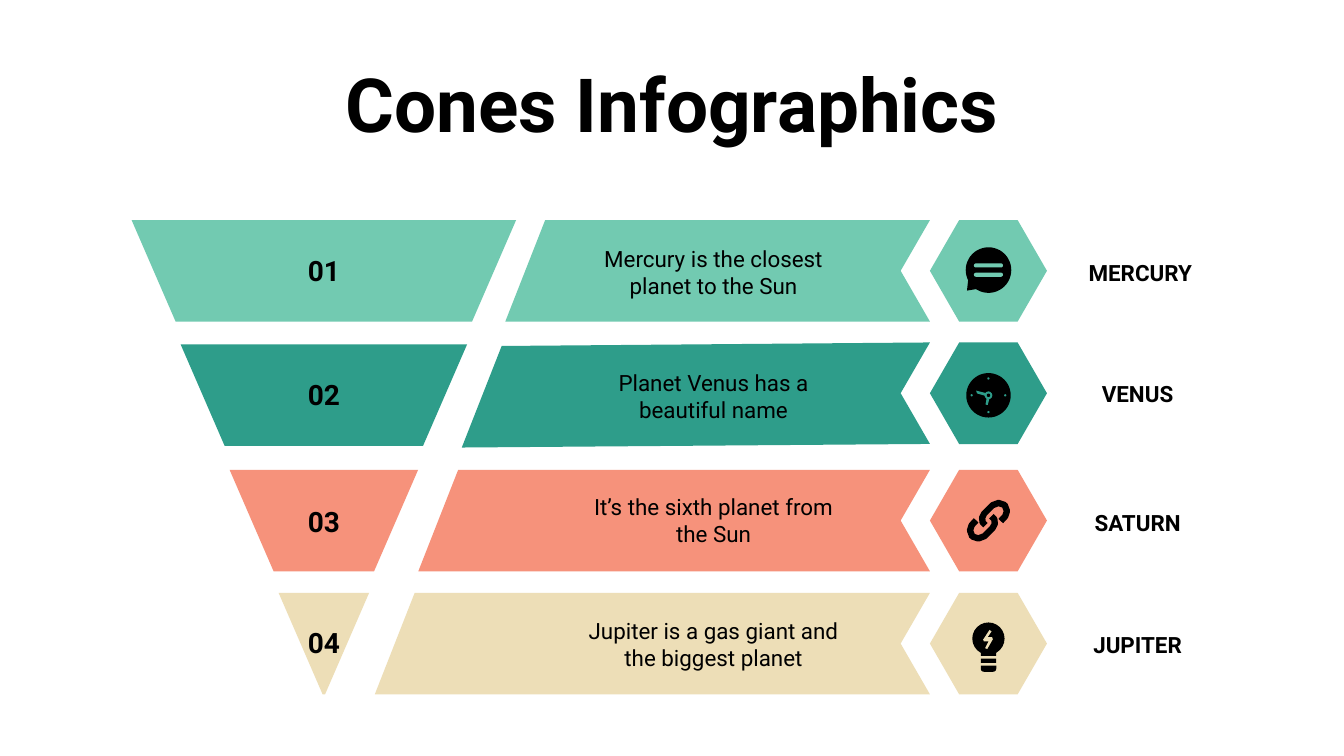
from dataclasses import dataclass
from pptx import Presentation
from pptx.dml.color import RGBColor
from pptx.enum import shapes, text
from pptx.util import Pt

KIND = shapes.MSO_SHAPE


@dataclass(frozen=True)
class Theme:
    """Hold the colours, the font and the type sizes."""
    font: str = "Roboto"
    ink: str = "000000"
    tones: tuple = ("72CAB1", "2E9D8A", "F6927B", "EDDEB7")
    title: int = 40
    number: int = 15
    body: int = 12


THEME = Theme()


def paint(shape, color):
    """Give a shape a flat fill with no line or shadow."""
    shape.shadow.inherit = False
    shape.fill.solid()
    shape.fill.fore_color.rgb = RGBColor.from_string(color)
    shape.line.fill.background()
    return shape


def preset(slide, kind, box, color):
    """Add a flat preset shape in a box."""
    return paint(slide.shapes.add_shape(kind, *map(Pt, box)), color)


def trace(slide, points, close=True):
    """Build an outline through points."""
    pts = [(Pt(x), Pt(y)) for x, y in points]
    pen = slide.shapes.build_freeform(*pts[0])
    pen.add_line_segments(pts[1:], close=close)
    return pen.convert_to_shape()


def write(shape, words, size=THEME.body, bold=False):
    """Set centred text in a shape."""
    frame = shape.text_frame
    frame.word_wrap = True
    frame.auto_size = text.MSO_AUTO_SIZE.NONE
    frame.vertical_anchor = text.MSO_ANCHOR.MIDDLE
    frame.margin_left = frame.margin_right = Pt(7.2)
    frame.margin_top = frame.margin_bottom = Pt(7.2)
    para = frame.paragraphs[0]
    para.alignment = text.PP_ALIGN.CENTER
    run = para.add_run()
    run.text = words
    run.font.name = THEME.font
    run.font.size = Pt(size)
    run.font.bold = bold
    run.font.color.rgb = RGBColor.from_string(THEME.ink)


def label(slide, box, words, **form):
    """Add a text box."""
    write(slide.shapes.add_textbox(*map(Pt, box)), words, **form)


def heading(slide, box, words):
    """Place and format the title."""
    title = slide.shapes.title
    title.left, title.top, title.width, title.height = map(Pt, box)
    write(title, words, size=THEME.title, bold=True)


def chat(slide, box, tone):
    """Draw a speech bubble with two bars."""
    x, y, w, h = box
    preset(slide, KIND.OVAL, box, THEME.ink)
    tail = [(x + 1.5, y + 16), (x + 0.7, y + 23.2), (x + 8, y + 22)]
    paint(trace(slide, tail), THEME.ink)
    for drop in (8.6, 13.6):
        bar = preset(slide, KIND.ROUNDED_RECTANGLE, (x + 4.4, y + drop, w - 8.8, 2.2), tone)
        bar.adjustments[0] = 0.5


def clock(slide, box, tone):
    """Draw a clock face with two hands."""
    x, y, w, h = box
    cx, cy = x + w / 2, y + h / 2
    preset(slide, KIND.OVAL, box, THEME.ink)
    for dx, dy in ((0, -9), (9, 0), (0, 9), (-9, 0)):
        preset(slide, KIND.OVAL, (cx + dx - 0.6, cy + dy - 0.6, 1.2, 1.2), tone)
    for hand in (((-6.6, -2.5), (-6.2, -1), (0, 0.8), (0, -0.8)),
                 ((-1.6, 5), (-0.4, 5.2), (0.8, 0.5), (-0.8, 0.5))):
        paint(trace(slide, [(cx + dx, cy + dy) for dx, dy in hand]), tone)
    for r, color in ((2.1, tone), (0.9, THEME.ink)):
        preset(slide, KIND.OVAL, (cx - r, cy - r, 2 * r, 2 * r), color)


def chain(slide, box, tone):
    """Draw two open links, one the half turn of the other."""
    x, y, w, h = box
    half = ((-1.6, 2.4), (-3.1, 0.9), (-3.4, -1.6), (-2.3, -3.8), (2.2, -8.3),
            (5.4, -9.5), (8.7, -8.4), (9.9, -5.2), (9, -2.4), (6.6, 0.2))
    for turn in (1, -1):
        points = [(x + w / 2 + turn * dx, y + h / 2 + turn * dy) for dx, dy in half]
        link = trace(slide, points, close=False)
        link.shadow.inherit = False
        link.fill.background()
        link.line.color.rgb = RGBColor.from_string(THEME.ink)
        link.line.width = Pt(3.4)


def bulb(slide, box, tone):
    """Draw a light bulb with a bolt."""
    x, y, w, h = box
    preset(slide, KIND.OVAL, (x, y, w, w), THEME.ink)
    for drop, tall in ((15, 3), (19.4, 2.2)):
        preset(slide, KIND.RECTANGLE, (x + 4.5, y + drop, w - 9, tall), THEME.ink)
    foot = preset(slide, KIND.ROUND_2_SAME_RECTANGLE, (x + 4.5, y + 23.1, w - 9, 3.3), THEME.ink)
    foot.adjustments[0] = 0.5
    foot.rotation = 180
    bolt = ((9.2, 4), (5.8, 9.2), (6.2, 10.2), (8.7, 10.2), (6.8, 13.8),
            (8, 14.2), (11, 9), (10.6, 7.9), (8.2, 7.9), (10.3, 4.8))
    paint(trace(slide, [(x + dx, y + dy) for dx, dy in bolt]), tone)


def cone(slide, box, tone):
    """Draw one slice of the cone."""
    x, y, w, h = box
    cut = 23.6
    edge = [(x, y), (x + cut, y + h), (x + w - cut, y + h), (x + w, y)]
    paint(trace(slide, edge), tone)


def banner(slide, box, tone, tilt):
    """Draw a slanted band with a notched right end."""
    x, y, w, h = box
    end = x + w
    edge = [(x + 21.4, y + tilt), (x, y + h + tilt), (end, y + h),
            (end - 15.7, y + h / 2), (end, y)]
    paint(trace(slide, edge), tone)


def badge(slide, box, tone):
    """Draw a hexagon."""
    x, y, w, h = box
    side = 15.7
    edge = [(x + side, y), (x, y + h / 2), (x + side, y + h),
            (x + w - side, y + h), (x + w, y + h / 2), (x + w - side, y)]
    paint(trace(slide, edge), tone)


def level(slide, box, rank, name, note, icon, size, drops, tilt):
    """Place one row: slice, band, badge, icon and texts."""
    x, y, w, h = box
    tone = THEME.tones[rank]
    mid, end, hexa = x + 103, x + 427.7, 62.7
    half = 103 - 26.25 * rank
    left = x + 200.2 - 23.3 * rank
    cone(slide, (mid - half, y + tilt / 2, 2 * half, h), tone)
    banner(slide, (left, y, end - left, h), tone, tilt)
    badge(slide, (end, y, hexa, h), tone)
    wide, tall = size
    dot, num, tag, body = drops
    icon(slide, (end + (hexa - wide) / 2, y + dot - tall / 2, wide, tall), tone)
    label(slide, (mid - 25.2, y + num - 20, 50.4, 40), f"{rank + 1:02}",
          size=THEME.number, bold=True)
    label(slide, (x + w - 78.5, y + tag - 17, 78.5, 34), name, bold=True)
    label(slide, (x + 236.2, y + body - 20.5, 151.2, 41), note)


def main():
    """Build and save the slide."""
    deck = Presentation()
    deck.slide_width, deck.slide_height = Pt(720), Pt(405)
    slide = deck.slides.add_slide(deck.slide_layouts[5])
    heading(slide, (36, 32.4, 648, 45.4), "Cones Infographics")
    rows = (
        (117.9, " MERCURY", "Mercury is the closest planet to the Sun",
         chat, (24.4, 24.4), (26.8, 26.8, 27.9, 27.9), 0),
        (183.5, "VENUS", "Planet Venus has a beautiful name",
         clock, (23.8, 23.8), (28.3, 27.5, 27.1, 28.8), 1.9),
        (251.7, "SATURN", "It’s the sixth planet from the Sun",
         chain, (25, 24), (27.3, 27.7, 28, 26.8), 0),
        (317.6, "JUPITER", "Jupiter is a gas giant and the biggest planet",
         bulb, (17.3, 26.4), (29.1, 26.6, 27.7, 27.6), 0),
    )
    for rank, (top, *parts) in enumerate(rows):
        level(slide, (70.5, top, 578.2, 54.4), rank, *parts)
    deck.save("out.pptx")


if __name__ == "__main__":
    main()
